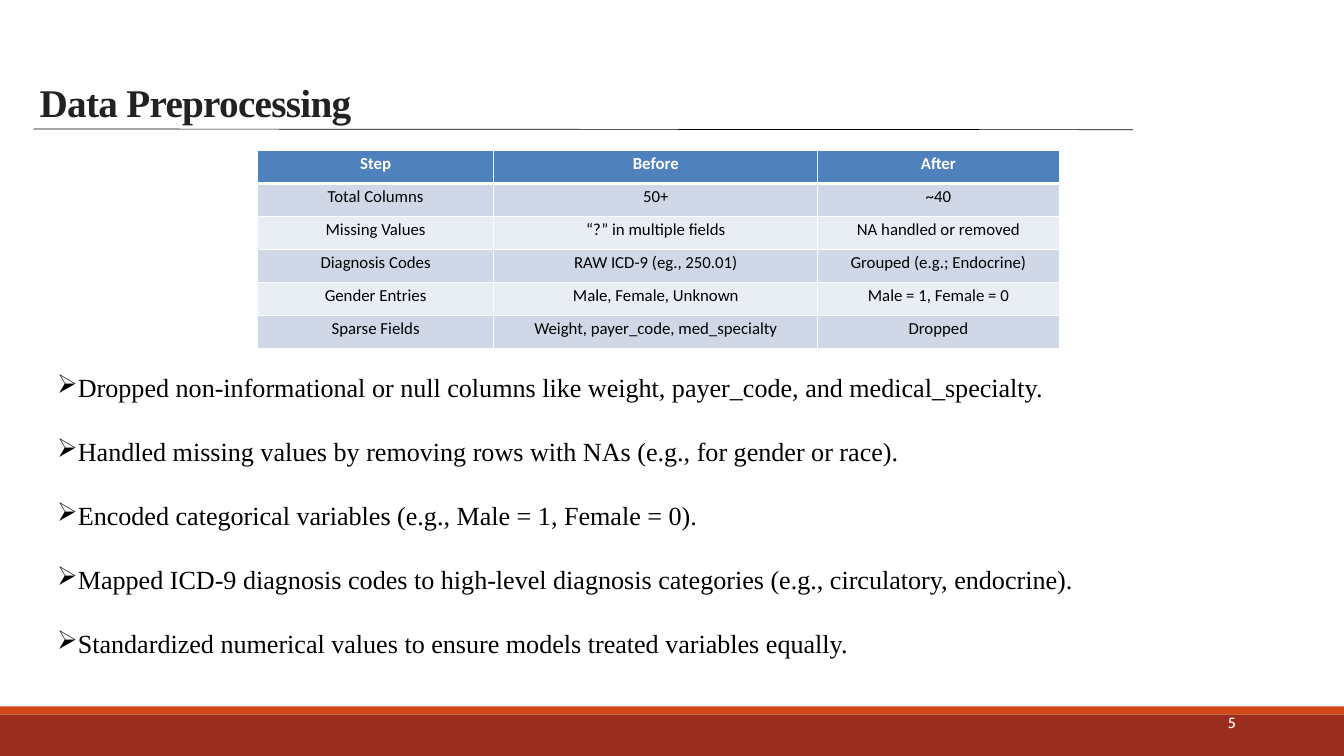
from lxml import etree
from pptx import Presentation, util as u
from pptx.dml.color import RGBColor
from pptx.enum import shapes, text
from pptx.oxml.ns import qn

HEADER = ("Step", "Before", "After")
STEPS = [
    ("Total Columns", "50+", "~40"),
    ("Missing Values", "“?” in multiple fields", "NA handled or removed"),
    ("Diagnosis Codes", "RAW ICD-9 (eg., 250.01)", "Grouped (e.g.; Endocrine)"),
    ("Gender Entries", "Male, Female, Unknown", "Male = 1, Female = 0"),
    ("Sparse Fields", "Weight, payer_code, med_specialty", "Dropped"),
]
ACTIONS = [
    "Dropped non-informational or null columns like weight, payer_code, and medical_specialty.",
    "Handled missing values by removing rows with NAs (e.g., for gender or race).",
    "Encoded categorical variables (e.g., Male = 1, Female = 0).",
    "Mapped ICD-9 diagnosis codes to high-level diagnosis categories (e.g., circulatory, endocrine).",
    "Standardized numerical values to ensure models treated variables equally.",
]


def color(hex_string):
    return RGBColor.from_string(hex_string)


def apply(target, values):
    for name, value in values.items():
        setattr(target, name, value)


class SlideBuilder:
    serif, table_font, number_font = "Times New Roman", "Calibri", "Cabin"
    black, white = "000000", "FFFFFF"
    header_fill, band_fills = "4F81BD", ("D0D8E8", "E9EDF4")

    def __init__(self, slide):
        self.slide = slide

    def bar(self, *box, fill):
        bar = self.slide.shapes.add_shape(
            shapes.MSO_SHAPE.RECTANGLE, *map(u.Inches, box))
        bar.shadow.inherit = False
        bar.fill.solid()
        bar.fill.fore_color.rgb = color(fill)
        bar.line.fill.background()

    def rule(self, *ends, width):
        rule = self.slide.shapes.add_connector(
            shapes.MSO_CONNECTOR.STRAIGHT, *map(u.Inches, ends))
        rule.line.color.rgb = color(self.black)
        rule.line.width = u.Pt(width)
        etree.SubElement(rule._element.spPr, qn("a:effectLst"))

    def frame(self, *box, margins=None, anchor=text.MSO_ANCHOR.TOP):
        frame = self.slide.shapes.add_textbox(*map(u.Inches, box)).text_frame
        apply(frame, {"word_wrap": True, "vertical_anchor": anchor})
        if margins is not None:
            apply(frame, {f"margin_{side}": u.Inches(margins)
                          for side in ("left", "top", "right", "bottom")})
        return frame

    def add_words(self, paragraph, words, font, size, fill, bold=False, **layout):
        run = paragraph.add_run()
        run.text = words
        apply(run.font, {"name": font, "size": u.Pt(size), "bold": bold})
        run.font.color.rgb = color(fill)
        apply(paragraph, layout)
        return run

    def title(self, words, *box):
        frame = self.frame(*box, margins=0, anchor=text.MSO_ANCHOR.BOTTOM)
        run = self.add_words(frame.paragraphs[0], words, self.serif, 42, "222222",
                             bold=True, line_spacing=u.Pt(42.8))
        run.font._element.set("spc", "-80")

    def page_number(self, number, *box):
        frame = self.frame(*box, margins=0, anchor=text.MSO_ANCHOR.MIDDLE)
        self.add_words(frame.paragraphs[0], number, self.number_font, 15.8, self.white,
                       alignment=text.PP_ALIGN.RIGHT, line_spacing=u.Pt(18.9))

    def bullets(self, items, *box):
        frame = self.frame(*box)
        for i, item in enumerate(items):
            paragraph = frame.add_paragraph() if i else frame.paragraphs[0]
            properties = paragraph._p.get_or_add_pPr()
            properties.set("marL", str(u.Inches(0.31)))
            properties.set("indent", str(u.Inches(-0.31)))
            etree.SubElement(properties, qn("a:buChar"), char="➢")
            self.add_words(paragraph, item, self.serif, 28, self.black,
                           alignment=text.PP_ALIGN.JUSTIFY,
                           space_before=u.Pt(35 if i else 0))

    def borders(self, cell, bottom):
        """Draw white lines round a cell, with the bottom width in points."""
        properties = cell._tc.get_or_add_tcPr()
        widths = {"lnL": 1, "lnR": 1, "lnT": 1, "lnB": bottom}
        for i, (side, width) in enumerate(widths.items()):
            line = etree.Element(qn(f"a:{side}"), w=str(u.Pt(width)))
            solid = etree.SubElement(line, qn("a:solidFill"))
            etree.SubElement(solid, qn("a:srgbClr"), val=self.white)
            properties.insert(i, line)

    def table(self, rows, left, top, widths, row_height):
        table = self.slide.shapes.add_table(
            len(rows), len(widths), u.Inches(left), u.Inches(top),
            u.Inches(sum(widths)), u.Inches(row_height * len(rows))).table
        for column, width in zip(table.columns, widths):
            column.width = u.Inches(width)
        for r, row in enumerate(rows):
            table.rows[r].height = u.Inches(row_height)
            header = r == 0
            fill = self.header_fill if header else self.band_fills[(r - 1) % 2]
            for c, words in enumerate(row):
                cell = table.cell(r, c)
                cell.fill.solid()
                cell.fill.fore_color.rgb = color(fill)
                self.borders(cell, bottom=3 if header else 1)
                self.add_words(cell.text_frame.paragraphs[0], words, self.table_font, 18,
                               self.white if header else self.black, bold=header,
                               alignment=text.PP_ALIGN.CENTER)


def main():
    deck = Presentation()
    apply(deck, {"slide_width": u.Inches(20), "slide_height": u.Inches(11.25)})
    page = SlideBuilder(deck.slides.add_slide(deck.slide_layouts[6]))
    page.bar(0, 10.63, 20, 0.62, fill="9B2D1F")
    page.bar(0, 10.51, 20, 0.12, fill="D34817")
    page.rule(0.5, 1.92, 16.86, 1.93, width=0.75)
    page.page_number("5", 16.24, 10.57, 2.15, 0.38)
    page.title("Data Preprocessing", 0.59, 0.96, 16.72, 0.9)
    page.table([HEADER, *STEPS], 3.83, 2.24, (3.52, 4.82, 3.59), 0.49)
    page.bullets(ACTIONS, 0.75, 5.48, 16.91, 4.79)
    deck.save("out.pptx")


if __name__ == "__main__":
    main()
